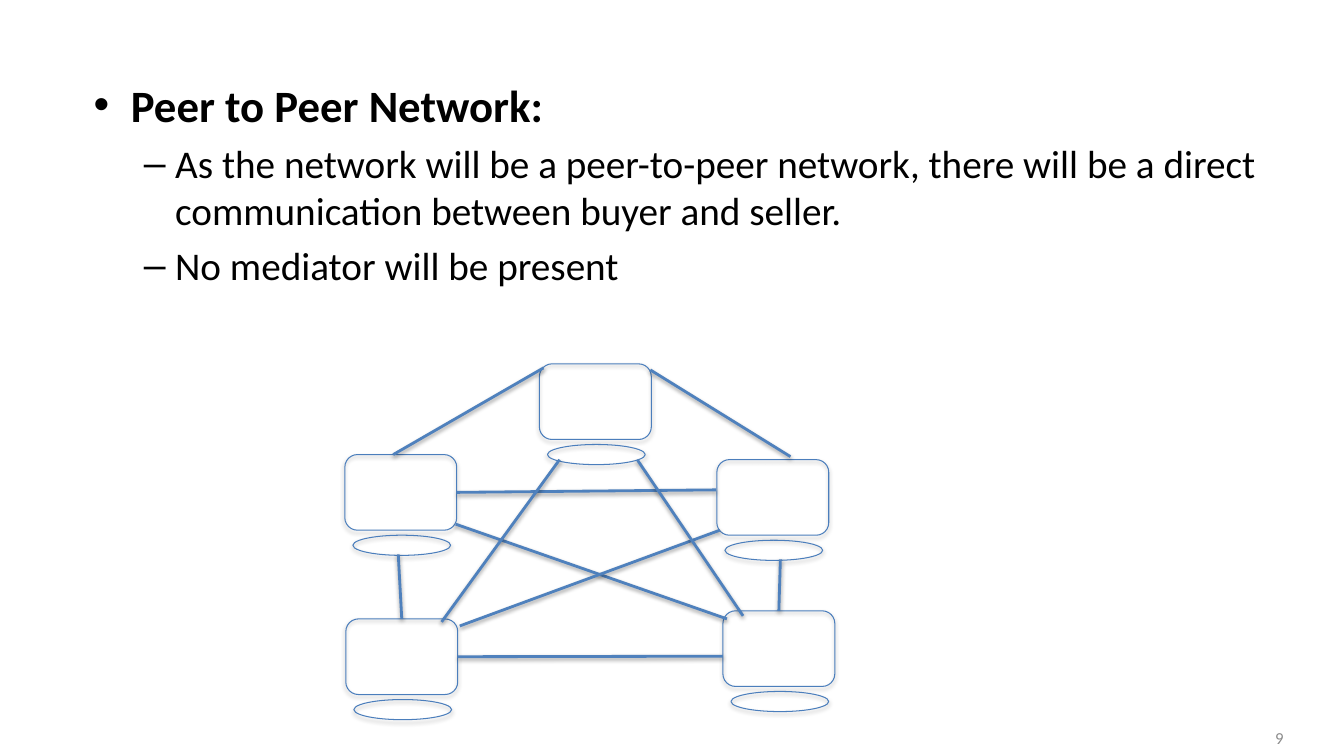
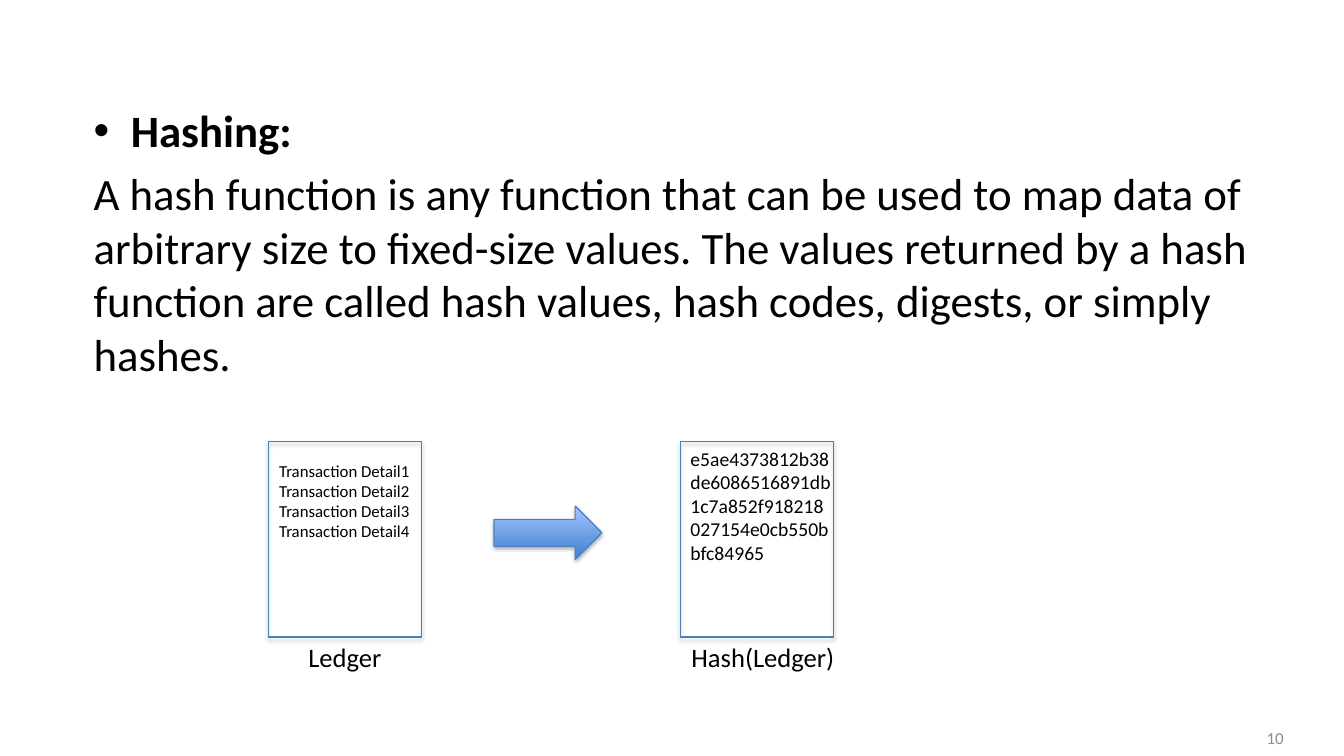
from lxml.etree import SubElement
from pptx import Presentation
from pptx.dml.color import RGBColor
from pptx.enum.shapes import MSO_CONNECTOR as Connector, MSO_SHAPE as Shape
from pptx.enum.text import MSO_ANCHOR as Anchor, PP_ALIGN as Align
from pptx.oxml.ns import qn
from pptx.util import Emu, Pt

FONT = "Calibri"
BLACK, GREY, OUTLINE, LINK = "000000", "8C8C8C", "4B7EBC", "4F81BD"
ARROW_GRADIENT = ("3F80CE", "A4C4FF")
PX = 9144
SLIDE_SIZE = (1333, 750)
NUMBER_BOX = (972, 712, 311, 40)

HEADING = {"size": 32, "bold": True, "bullet": "•", "indent": 37, "hang": 37, "before": 6.4}
POINT = {"size": 28, "bullet": "–", "indent": 81, "hang": 31, "before": 5.6}
PROSE = {"size": 32, "before": 6.4}

PEER_BODY = [
    ("Peer to Peer Network:", HEADING),
    ("As the network will be a peer-to-peer network, there will be a direct "
     "communication between buyer and seller.", POINT),
    ("No mediator will be present", POINT),
]
HASH_BODY = [
    ("Hashing:", HEADING),
    ("A hash function is any function that can be used to map data of arbitrary size "
     "to fixed-size values. The values returned by a hash function are called hash "
     "values, hash codes, digests, or simply hashes.", PROSE),
]

SCREEN_SIZE, BASE_SIZE, BASE_OFFSET = (111, 75), (97, 20), (8, 80)
COMPUTERS = {
    "lower left": (343, 614),
    "upper left": (342, 451),
    "top": (535, 361),
    "upper right": (711, 456),
    "lower right": (717, 606),
}
TOP_SIDE, RIGHT_SIDE = 0, 3
LINKS = [
    ((452, 520), (721, 614)),
    ((456, 621), (714, 526)),
    (("upper left", RIGHT_SIDE), (710, 486)),
    (("lower left", RIGHT_SIDE), (717, 651)),
    ((390, 451), (539, 365)),
    ((645, 367), (784, 453)),
    ((395, 550), ("lower left", TOP_SIDE)),
    ((774, 555), ("lower right", TOP_SIDE)),
    ((555, 456), (438, 617)),
    ((632, 456), (737, 611)),
]

PAGE_TOP, PAGE_SIZE, CAPTION_TOP = 438, (152, 194), 631
PAGES = [
    {"left": 266, "text_box": (267, 452, 231, 111), "size": 12,
     "lines": [f"Transaction Detail{number}" for number in range(1, 5)],
     "caption": "Ledger", "caption_left": 296},
    {"left": 675, "text_box": (675, 438, 160, 128), "size": 14,
     "lines": ["e5ae4373812b38de6086516891db1c7a852f918218027154e0cb550bbfc84965"],
     "caption": "Hash(Ledger)", "caption_left": 676},
]
ARROW_BOX = (490, 502, 107, 53)


def px(*lengths):
    return [Emu(length * PX) for length in lengths]


def color(value):
    return RGBColor.from_string(value)


def add_shadow(shape, opacity, distance):
    properties = shape._element.spPr
    for old in properties.findall(qn("a:effectLst")):
        properties.remove(old)
    effects = SubElement(properties, qn("a:effectLst"))
    shadow = SubElement(effects, qn("a:outerShdw"), blurRad=str(Pt(3.1)),
                        dist=str(Pt(distance)), dir="5400000", rotWithShape="0")
    black = SubElement(shadow, qn("a:srgbClr"), val=BLACK)
    SubElement(black, qn("a:alpha"), val=str(opacity * 1000))


def format_paragraph(paragraph, text, size=12, bold=False, fill=BLACK, align=Align.LEFT,
                     bullet=None, indent=0, hang=0, before=0):
    run = paragraph.add_run()
    run.text = text
    run.font.name, run.font.size, run.font.bold = FONT, Pt(size), bold
    run.font.color.rgb = color(fill)
    paragraph.alignment = align
    paragraph.space_before = Pt(before)
    if bullet:
        properties = paragraph._p.get_or_add_pPr()
        properties.set("marL", str(indent * PX))
        properties.set("indent", str(-hang * PX))
        SubElement(properties, qn("a:buFont"), typeface="Arial")
        SubElement(properties, qn("a:buChar"), char=bullet)


def add_text(slide, paragraphs, box, anchor=Anchor.TOP, **common):
    frame = slide.shapes.add_textbox(*px(*box)).text_frame
    frame.word_wrap, frame.vertical_anchor = True, anchor
    for index, (text, style) in enumerate(paragraphs):
        paragraph = frame.add_paragraph() if index else frame.paragraphs[0]
        format_paragraph(paragraph, text, **{**common, **style})


def add_outline(slide, kind, position, size):
    shape = slide.shapes.add_shape(kind, *px(*position, *size))
    shape.fill.background()
    shape.line.color.rgb, shape.line.width = color(OUTLINE), Pt(0.75)
    add_shadow(shape, 35, 1.8)
    return shape


def add_link(slide, screens, start, end):
    points = [(0, 0) if point[0] in screens else point for point in (start, end)]
    link = slide.shapes.add_connector(Connector.STRAIGHT, *px(*points[0], *points[1]))
    for point, connect in ((start, link.begin_connect), (end, link.end_connect)):
        if point[0] in screens:
            connect(screens[point[0]], point[1])
    link.line.color.rgb, link.line.width = color(LINK), Pt(2)
    add_shadow(link, 38, 1.6)


def add_slide(presentation, number, body, body_box):
    slide = presentation.slides.add_slide(presentation.slide_layouts[6])
    add_text(slide, [(str(number), {})], NUMBER_BOX, anchor=Anchor.MIDDLE,
             fill=GREY, align=Align.RIGHT)
    add_text(slide, body, body_box)
    return slide


def build_peer_slide(presentation):
    slide = add_slide(presentation, 9, PEER_BODY, (83, 72, 1200, 616))
    screens = {}
    for name, (left, top) in COMPUTERS.items():
        screens[name] = add_outline(slide, Shape.ROUNDED_RECTANGLE, (left, top), SCREEN_SIZE)
        base = (left + BASE_OFFSET[0], top + BASE_OFFSET[1])
        add_outline(slide, Shape.OVAL, base, BASE_SIZE)
    for start, end in LINKS:
        add_link(slide, screens, start, end)


def build_hash_slide(presentation):
    slide = add_slide(presentation, 10, HASH_BODY, (83, 97, 1200, 589))
    for page in PAGES:
        add_outline(slide, Shape.RECTANGLE, (page["left"], PAGE_TOP), PAGE_SIZE)
        add_text(slide, [(line, {}) for line in page["lines"]], page["text_box"],
                 size=page["size"])
        add_text(slide, [(page["caption"], {})], (page["caption_left"], CAPTION_TOP, 300, 42),
                 size=19)
    arrow = add_outline(slide, Shape.RIGHT_ARROW, ARROW_BOX[:2], ARROW_BOX[2:])
    arrow.fill.gradient()
    arrow.fill.gradient_angle = 90
    for stop, value in zip(arrow.fill.gradient_stops, ARROW_GRADIENT):
        stop.color.rgb = color(value)


def main():
    """Build the two slides on peer networks and hashing."""
    presentation = Presentation()
    presentation.slide_width, presentation.slide_height = px(*SLIDE_SIZE)
    build_peer_slide(presentation)
    build_hash_slide(presentation)
    presentation.save("out.pptx")


if __name__ == "__main__":
    main()
